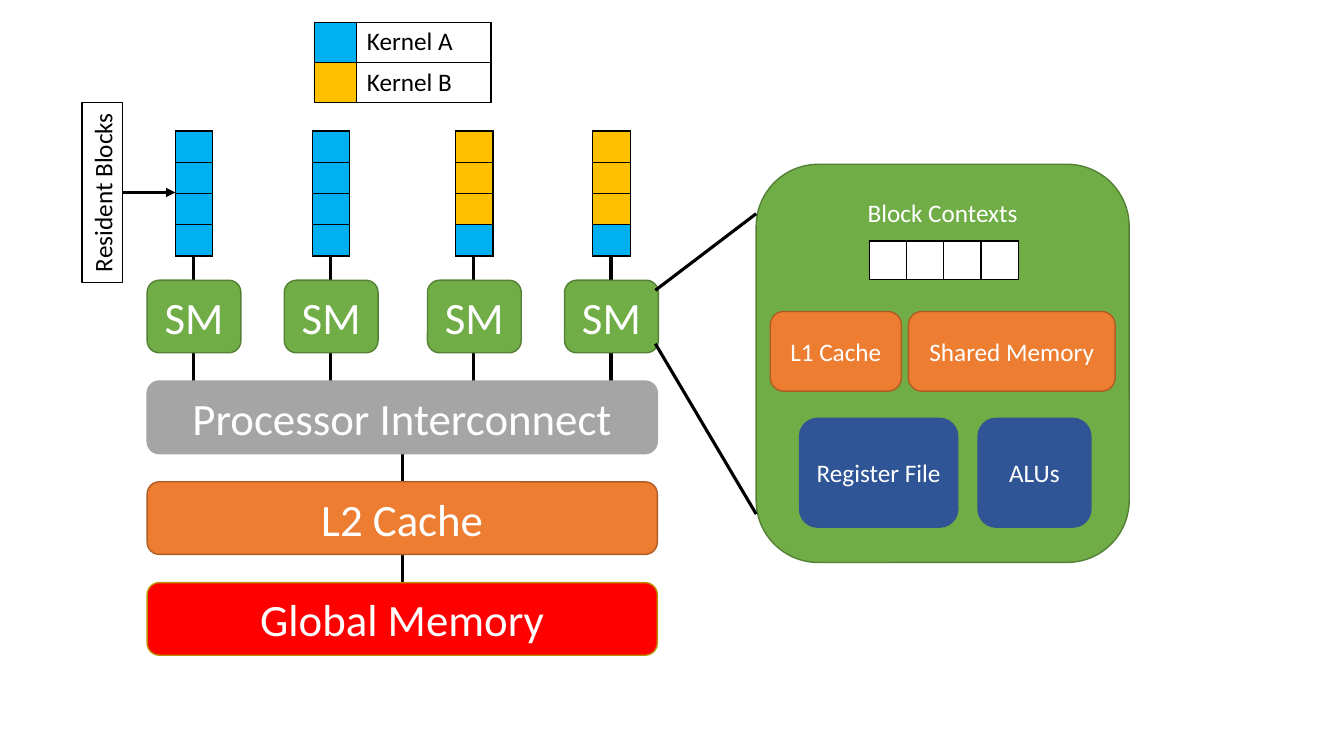
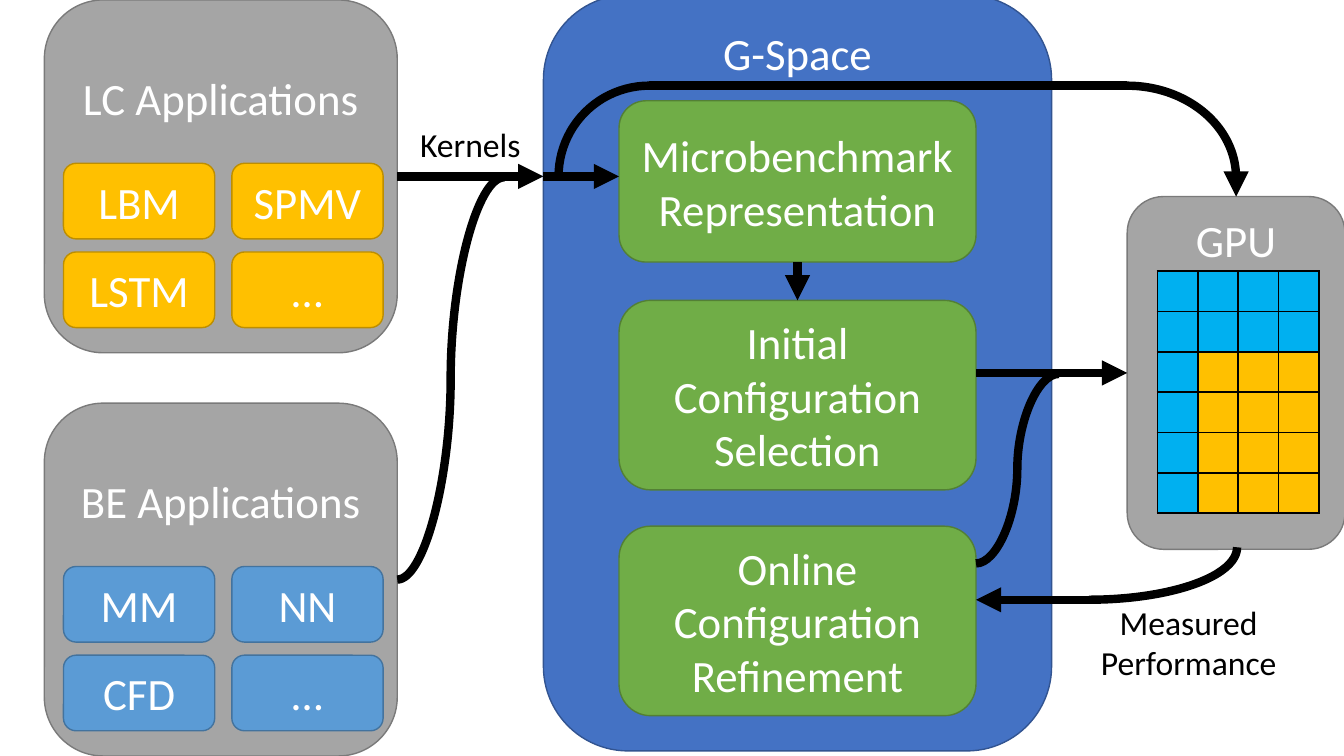
"""Build two slides on how GPU kernels share streaming multiprocessors."""
from lxml.etree import SubElement
from pptx import Presentation
from pptx.dml.color import RGBColor
from pptx.enum.shapes import MSO_CONNECTOR as Connector, MSO_SHAPE as Shape
from pptx.enum.text import MSO_ANCHOR as Anchor, PP_ALIGN as Align
from pptx.oxml.ns import qn
from pptx.util import Inches, Pt


class Theme:
    font = "Calibri"
    large, medium, small = Pt(32), Pt(24), Pt(18)
    thin, link, flow, grid = Pt(1), Pt(2.25), Pt(6), Pt(1.5)
    black = RGBColor.from_string("000000")
    white = RGBColor.from_string("FFFFFF")
    kernel_a = RGBColor.from_string("00B0F0")
    kernel_b = RGBColor.from_string("FFC000")
    boxes = {
        "green": ("70AD47", "538035", white),
        "orange": ("ED7D31", "AF5C24", white),
        "red": ("FF0000", "BD8E00", white),
        "gray": ("A5A5A5", "7A7A7A", white),
        "plain gray": ("A5A5A5", "A5A5A5", white),
        "navy": ("2F5597", "325491", white),
        "blue": ("4472C4", "325491", white),
        "gold": ("FFC000", "BD8E00", white),
        "sky": ("5B9BD5", "43739E", white),
        "white": ("FFFFFF", "000000", black),
    }


def add_box(slide, text, area, style, size=Theme.large, heading_inset=None, kind=Shape.ROUNDED_RECTANGLE):
    fill, outline, text_color = Theme.boxes[style]
    shape = slide.shapes.add_shape(kind, *map(Inches, area))
    shape.shadow.inherit = False
    shape.fill.solid()
    shape.fill.fore_color.rgb = RGBColor.from_string(fill)
    shape.line.color.rgb = RGBColor.from_string(outline)
    shape.line.width = Theme.thin
    frame = shape.text_frame
    frame.word_wrap = True
    frame.vertical_anchor = Anchor.MIDDLE
    if heading_inset is not None:
        frame.vertical_anchor = Anchor.TOP
        frame.margin_top = Inches(heading_inset)
    frame.text = text
    paragraph = frame.paragraphs[0]
    paragraph.alignment = Align.CENTER
    paragraph.font.name, paragraph.font.size = Theme.font, size
    paragraph.font.color.rgb = text_color
    return shape


def add_line(slide, start, end, width, arrow=False, kind=Connector.STRAIGHT):
    connector = slide.shapes.add_connector(kind, *map(Inches, (*start, *end)))
    connector.line.color.rgb = Theme.black
    connector.line.width = width
    properties = connector._element.spPr
    if arrow:
        SubElement(properties.find(qn("a:ln")), qn("a:tailEnd"), type="triangle")
    SubElement(properties, qn("a:effectLst"))


presentation = Presentation()
presentation.slide_width, presentation.slide_height = Inches(13.33), Inches(7.5)
blank_layout = presentation.slide_layouts[6]
hardware = presentation.slides.add_slide(blank_layout)
workflow = presentation.slides.add_slide(blank_layout)

tables = []
a, b, white = Theme.kernel_a, Theme.kernel_b, Theme.white

processors = [
    (1.46, [a, a, a, a]),
    (2.82, [a, a, a, a]),
    (4.24, [b, b, b, a]),
    (5.6, [b, b, b, a]),
]
for left, blocks in processors:
    center = left + 0.46
    add_line(hardware, (center, 2.52), (center, 2.78), Theme.link)
    add_line(hardware, (center, 3.5), (center, 3.78), Theme.link)
    add_box(hardware, "SM", (left, 2.78, 0.93, 0.72), "green")
    tables.append((hardware, left + 0.28, 1.3, [0.37], 0.31, [[block] for block in blocks], Theme.thin))

for top in (4.5, 5.5):
    add_line(hardware, (3.99, top), (3.99, top + 0.28), Theme.link)
memory_levels = [("Processor Interconnect", "plain gray"), ("L2 Cache", "orange"), ("Global Memory", "red")]
for level, (text, style) in enumerate(memory_levels):
    add_box(hardware, text, (1.46, 3.78 + level, 5.06, 0.72), style)

resident = add_box(hardware, "Resident Blocks", (0.12, 1.71, 1.79, 0.4), "white", Theme.small, kind=Shape.RECTANGLE)
resident.rotation = 270
resident.text_frame.word_wrap = False
add_line(hardware, (1.22, 1.91), (1.74, 1.91), Theme.link, arrow=True)

add_box(hardware, "Block Contexts", (7.5, 1.63, 3.7, 3.95), "green", Theme.small, heading_inset=0.15)
processor_parts = [
    ("L1 Cache", (7.64, 3.09, 1.3, 0.79), "orange"),
    ("Shared Memory", (9.01, 3.09, 2.05, 0.79), "orange"),
    ("Register File", (7.93, 4.15, 1.57, 1.08), "navy"),
    ("ALUs", (9.7, 4.15, 1.12, 1.08), "navy"),
]
for text, area, style in processor_parts:
    add_box(hardware, text, area, style, Theme.small)
for start, end in [((6.5, 2.88), (7.5, 2.12)), ((6.5, 3.41), (7.5, 5.1))]:
    add_line(hardware, start, end, Theme.link)

tables.append((hardware, 3.12, 0.22, [0.42, 1.33], 0.4, [[a, "Kernel A"], [b, "Kernel B"]], Theme.thin))
tables.append((hardware, 8.62, 2.39, [0.37] * 4, 0.38, [[white] * 4], Theme.thin))

applications = [
    ("LC Applications", 0, "gold", ["LBM", "SPMV", "LSTM", "…"]),
    ("BE Applications", 4, "sky", ["MM", "NN", "CFD", "…"]),
]
for heading, top, style, names in applications:
    add_box(workflow, heading, (0.44, top, 3.5, 3.5), "gray", heading_inset=0.53)
    for index, name in enumerate(names):
        row, column = divmod(index, 2)
        add_box(workflow, name, (0.63 + 1.67 * column, top + 1.62 + 0.88 * row, 1.5, 0.75), style)

add_box(workflow, "G-Space", (5.39, -0.05, 5.04, 7.5), "blue", heading_inset=0.06)
add_box(workflow, "GPU", (11.18, 1.95, 2.16, 3.5), "gray", heading_inset=0.06)
steps = [
    ("Microbenchmark Representation", 1, 1.6),
    ("Initial Configuration Selection", 2.98, 1.88),
    ("Online Configuration Refinement", 5.22, 1.88),
]
for text, top, height in steps:
    add_box(workflow, text, (6.14, top, 3.54, height), "green")

arrows = [
    ((3.94, 1.75), (5.39, 1.75)),
    ((5.39, 1.75), (6.14, 1.75)),
    ((7.91, 2.6), (7.91, 2.98)),
    ((9.68, 3.7), (11.18, 3.7)),
    ((10.8, 5.95), (9.68, 5.95)),
    ((12.26, 1.76), (12.26, 1.95)),
]
for start, end in arrows:
    add_line(workflow, start, end, Theme.flow, arrow=True)
add_line(workflow, (6.44, 0.85), (11.18, 0.85), Theme.flow)
for start, end in [((3.94, 5.75), (5, 1.76)), ((9.68, 5.59), (10.5, 3.71))]:
    add_line(workflow, start, end, Theme.flow, kind=Connector.CURVE)

quarter_arcs = [
    ((5.54, 0.85, 1.8, 1.8), 180, 270),
    ((10.1, 0.85, 2.16, 1.82), 270, 0),
    ((9.33, 4.91, 2.94, 1.04), 0, 90),
]
for area, start_angle, end_angle in quarter_arcs:
    arc = workflow.shapes.add_shape(Shape.ARC, *map(Inches, area))
    arc.shadow.inherit = False
    arc.adjustments[0], arc.adjustments[1] = start_angle * 0.6, end_angle * 0.6
    arc.fill.background()
    arc.line.color.rgb = Theme.black
    arc.line.width = Theme.flow

labels = [("Kernels", (4.06, 1.18, 1.21, 0.5)), ("Measured\nPerformance", (10.81, 5.92, 1.96, 0.91))]
for text, area in labels:
    label = workflow.shapes.add_textbox(*map(Inches, area))
    label.text_frame.word_wrap = True
    label.text_frame.text = text
    for paragraph in label.text_frame.paragraphs:
        paragraph.alignment = Align.CENTER
        paragraph.font.name, paragraph.font.size = Theme.font, Theme.medium
        paragraph.font.color.rgb = Theme.black

tables.append((workflow, 11.48, 2.69, [0.4] * 4, 0.4, [[a] * 4] * 2 + [[a, b, b, b]] * 4, Theme.grid))

for slide, left, top, widths, row_height, rows, border in tables:
    size = (sum(widths), row_height * len(rows))
    table = slide.shapes.add_table(len(rows), len(widths), *map(Inches, (left, top, *size))).table
    table.first_row = table.horz_banding = False
    for column, width in zip(table.columns, widths):
        column.width = Inches(width)
    for table_row, contents in zip(table.rows, rows):
        table_row.height = Inches(row_height)
        for cell, content in zip(table_row.cells, contents):
            has_text = isinstance(content, str)
            cell.margin_top = cell.margin_bottom = 0
            cell.vertical_anchor = Anchor.MIDDLE
            cell.text = content if has_text else ""
            paragraph = cell.text_frame.paragraphs[0]
            paragraph.font.name, paragraph.font.size = Theme.font, Theme.small
            paragraph.font.color.rgb = Theme.black
            properties = cell._tc.get_or_add_tcPr()
            for side in ("lnL", "lnR", "lnT", "lnB"):
                edge = SubElement(properties, qn(f"a:{side}"), w=str(border))
                edge_fill = SubElement(edge, qn("a:solidFill"))
                SubElement(edge_fill, qn("a:srgbClr"), val=str(Theme.black))
            cell.fill.solid()
            cell.fill.fore_color.rgb = white if has_text else content

presentation.save("out.pptx")
